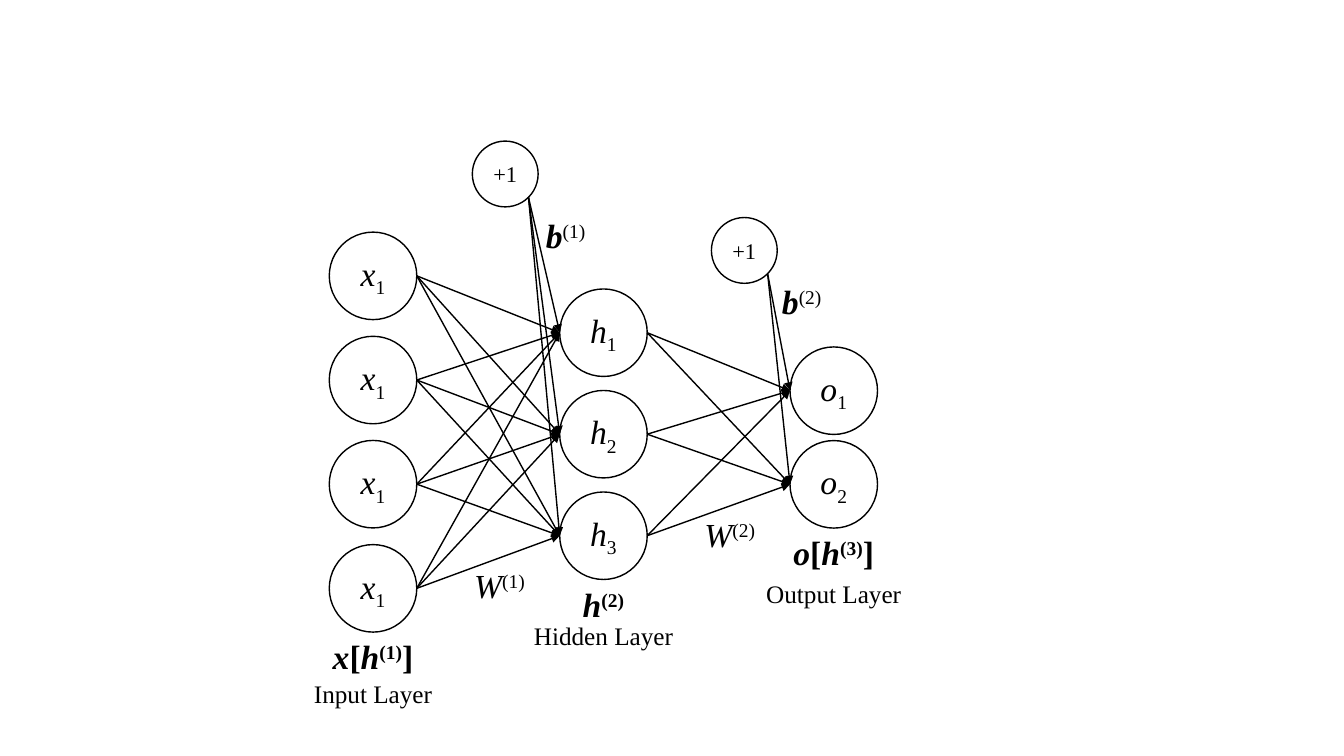
from math import sqrt

from lxml.etree import SubElement
from pptx import Presentation
from pptx.dml.color import RGBColor
from pptx.enum.shapes import MSO_CONNECTOR, MSO_SHAPE
from pptx.enum.text import MSO_ANCHOR, PP_ALIGN
from pptx.oxml.ns import qn
from pptx.util import Pt

COLORS = {"ink": "000000"}
INK = RGBColor.from_string(COLORS["ink"])
FONT = "Times New Roman"
NEURON = 62.5
BIAS = 47
SYMBOL_HEIGHT, CAPTION_HEIGHT = 36, 29
BASELINES = {"^": "30000", "_": "-25000"}


def write(frame, runs, size):
    """Add centred runs; marks are b bold, i italic, ^ superscript, _ subscript."""
    frame.word_wrap = False
    paragraph = frame.paragraphs[0]
    paragraph.alignment = PP_ALIGN.CENTER
    for text, marks in runs:
        run = paragraph.add_run()
        run.text = text
        run.font.name = FONT
        run.font.size = Pt(size)
        run.font.color.rgb = INK
        run.font.bold = "b" in marks
        run.font.italic = "i" in marks
        for mark, baseline in BASELINES.items():
            if mark in marks:
                run.font._element.set("baseline", baseline)


def add_label(slide, center, top, width, height, runs, size):
    label = slide.shapes.add_textbox(
        Pt(center - width / 2), Pt(top), Pt(width), Pt(height))
    write(label.text_frame, runs, size)


def add_circle(slide, left, top, diameter, runs, size):
    circle = slide.shapes.add_shape(
        MSO_SHAPE.OVAL, Pt(left), Pt(top), Pt(diameter), Pt(diameter))
    circle.shadow.inherit = False
    circle.fill.background()
    circle.line.color.rgb = INK
    circle.line.width = Pt(1)
    circle.text_frame.vertical_anchor = MSO_ANCHOR.MIDDLE
    write(circle.text_frame, runs, size)


def add_arrow(slide, start, end):
    arrow = slide.shapes.add_connector(
        MSO_CONNECTOR.STRAIGHT, *(Pt(value) for value in (*start, *end)))
    arrow.line.color.rgb = INK
    arrow.line.width = Pt(1)
    SubElement(arrow.line._get_or_add_ln(), qn("a:tailEnd"), type="triangle")
    SubElement(arrow._element.spPr, qn("a:effectLst"))


def add_layer(slide, left, top, pitch, letter, indices, symbol, caption,
              symbol_width, caption_gap):
    """Draw a column of neurons with its names; return the left and right ports."""
    center = left + NEURON / 2
    tops = [top + row * pitch for row in range(len(indices))]
    for neuron_top, index in zip(tops, indices):
        add_circle(slide, left, neuron_top, NEURON,
                   [(letter, "i"), (index, "_")], 24)

    # Symbol and caption under the column
    bottom = tops[-1] + NEURON
    add_label(slide, center, bottom - 0.5, symbol_width, SYMBOL_HEIGHT, symbol, 24)
    add_label(slide, center, bottom + caption_gap, 115, CAPTION_HEIGHT,
              [(caption, "")], 18)

    middles = [neuron_top + NEURON / 2 for neuron_top in tops]
    return ([(left, y) for y in middles], [(left + NEURON, y) for y in middles])


def add_weights(slide, sources, targets, order):
    """Join two layers fully and name the weights below the lowest arrow."""
    for source in sources:
        for target in targets:
            add_arrow(slide, source, target)
    center = (sources[-1][0] + targets[-1][0]) / 2 + 8
    add_label(slide, center, targets[-1][1] + 17.3, 54, SYMBOL_HEIGHT,
              [("W", "i"), (order, "^")], 24)


def add_bias(slide, left, top, targets, order, label_shift):
    """Draw a bias unit whose arrows leave from its lower right."""
    add_circle(slide, left, top, BIAS, [("+1", "")], 16)
    reach = BIAS / 2 * (1 + 1 / sqrt(2))
    for target in targets:
        add_arrow(slide, (left + reach, top + reach), target)
    across, down = label_shift
    add_label(slide, left + BIAS / 2 + across, top + down, 45, SYMBOL_HEIGHT,
              [("b", "bi"), (order, "^")], 24)


def bracketed(letter, order):
    return [(letter, "bi"), ("[", "b"), ("h", "bi"), (order, "b^"), ("]", "b")]


def build_network(slide):
    # Layers
    _, input_out = add_layer(
        slide, 235.2, 165.8, 74.4, "x", "1111",
        bracketed("x", "(1)"), "Input Layer", 76, 29.6)
    hidden_in, hidden_out = add_layer(
        slide, 399.8, 206.4, 72.5, "h", "123",
        [("h", "bi"), ("(2)", "b^")], "Hidden Layer", 47, 25.6)
    output_in, _ = add_layer(
        slide, 564.3, 247.8, 66.9, "o", "12",
        bracketed("o", "(3)"), "Output Layer", 76, 32.3)

    # Weights
    add_weights(slide, input_out, hidden_in, "(1)")
    add_weights(slide, hidden_out, output_in, "(2)")

    # Biases
    add_bias(slide, 337.4, 100.8, hidden_in, "(1)", (43.2, 49))
    add_bias(slide, 508.2, 155.4, output_in, "(2)", (41, 41.8))


def main():
    deck = Presentation()
    deck.slide_width, deck.slide_height = Pt(960), Pt(540)
    build_network(deck.slides.add_slide(deck.slide_layouts[6]))
    deck.save("out.pptx")


if __name__ == "__main__":
    main()
